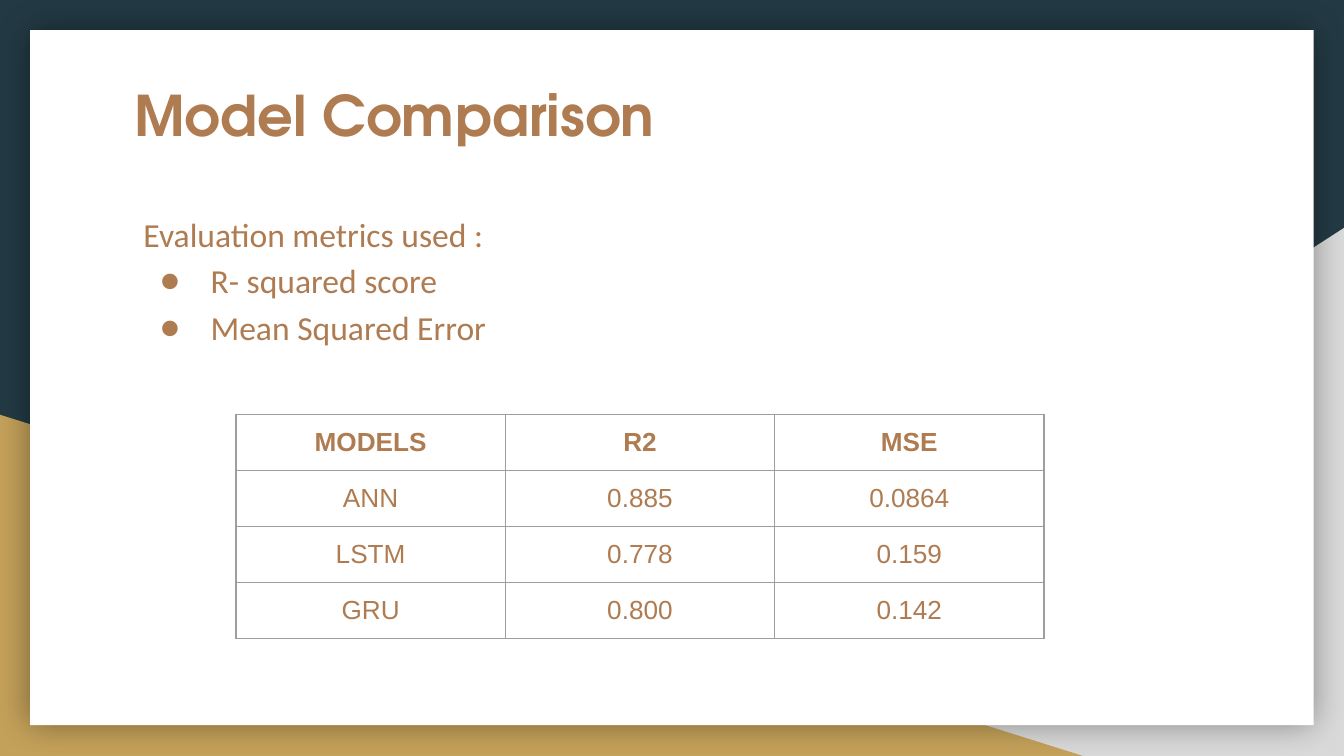
from lxml.etree import SubElement
from pptx import Presentation
from pptx.dml.color import RGBColor
from pptx.enum.shapes import MSO_SHAPE
from pptx.enum.text import MSO_ANCHOR, MSO_AUTO_SIZE, PP_ALIGN
from pptx.oxml import parse_xml
from pptx.oxml.ns import nsdecls, qn
from pptx.util import Cm, Pt

BROWN = "AF7B51"
METRICS = ["Evaluation metrics used :", "R- squared score", "Mean Squared Error"]
SCORES = [
    ("MODELS", "R2", "MSE"),
    ("ANN", "0.885", "0.0864"),
    ("LSTM", "0.778", "0.159"),
    ("GRU", "0.800", "0.142"),
]


def paint(target, color):
    """Give a fill or a font a solid colour from a hex string."""
    if hasattr(target, "solid"):
        target.solid()
        target.fore_color.rgb = RGBColor.from_string(color)
    else:
        target.color.rgb = RGBColor.from_string(color)


def style_runs(paragraph, font_name, size, bold=False):
    """Format every run of a paragraph in the slide's text colour."""
    for run in paragraph.runs:
        run.font.name = font_name
        run.font.size = Pt(size)
        run.font.bold = bold
        paint(run.font, BROWN)


def add_backdrop(slide, preset, left, top, width, height, color):
    """Add a plain filled shape and return it."""
    backdrop = slide.shapes.add_shape(preset, Cm(left), Cm(top), Cm(width), Cm(height))
    backdrop.shadow.inherit = False
    paint(backdrop.fill, color)
    backdrop.line.fill.background()
    return backdrop


def add_glow_shadow(card):
    """Put a soft black shadow evenly around the card."""
    effects = card.element.spPr.find(qn("a:effectLst"))
    effects.append(parse_xml(
        f'<a:outerShdw {nsdecls("a")} blurRad="{Pt(18)}" dist="0" dir="0" algn="ctr" '
        'rotWithShape="0"><a:srgbClr val="000000"><a:alpha val="40000"/></a:srgbClr></a:outerShdw>'
    ))


def place_placeholder(placeholder, left, top, width, height):
    """Move a placeholder to the front and set up its text frame."""
    placeholder.left, placeholder.top = Cm(left), Cm(top)
    placeholder.width, placeholder.height = Cm(width), Cm(height)
    frame = placeholder.text_frame
    frame.word_wrap = True
    frame.auto_size = MSO_AUTO_SIZE.NONE
    frame.vertical_anchor = MSO_ANCHOR.TOP
    frame.margin_left = frame.margin_right = Cm(0.25)
    frame.margin_top = frame.margin_bottom = Cm(0.25)
    tree = placeholder.element.getparent()
    tree.append(placeholder.element)
    return frame


def set_bullet(paragraph, bulleted):
    """Indent a paragraph with a round bullet, or clear its bullet."""
    properties = paragraph._p.get_or_add_pPr()
    properties.set("marL", str(Cm(1.27) if bulleted else 0))
    properties.set("indent", str(Cm(-0.96) if bulleted else 0))
    if bulleted:
        bullet_color = SubElement(properties, qn("a:buClr"))
        SubElement(bullet_color, qn("a:srgbClr"), val=BROWN)
        SubElement(properties, qn("a:buFont"), typeface="Calibri")
        SubElement(properties, qn("a:buChar"), char="●")
    else:
        SubElement(properties, qn("a:buNone"))


def fill_title(title):
    """Write the slide title."""
    frame = place_placeholder(title, 2.29, 1.27, 20.85, 2.08)
    frame.text = "Model Comparison"
    heading = frame.paragraphs[0]
    heading.alignment = PP_ALIGN.LEFT
    style_runs(heading, "TeX Gyre Adventor", 30, bold=True)


def fill_metrics(body):
    """Write the lead line and the bulleted metrics."""
    frame = place_placeholder(body, 2.46, 3.68, 20.47, 3.45)
    frame.text = "\n".join(METRICS)
    for index, metric in enumerate(frame.paragraphs):
        metric.line_spacing = 1.15
        metric.space_before = metric.space_after = Pt(0)
        set_bullet(metric, bulleted=index > 0)
        style_runs(metric, "Calibri", 18)


def set_borders(cell):
    """Draw thin grey lines on all four sides of a cell."""
    properties = cell._tc.get_or_add_tcPr()
    for position, side in enumerate(("lnL", "lnR", "lnT", "lnB")):
        properties.insert(position, parse_xml(
            f'<a:{side} {nsdecls("a")} w="{Pt(0.75)}"><a:solidFill>'
            f'<a:srgbClr val="9E9E9E"/></a:solidFill></a:{side}>'
        ))


def add_score_table(slide):
    """Add the table of model scores."""
    row_height, column_width = Cm(1.06), Cm(5.09)
    rows, columns = len(SCORES), len(SCORES[0])
    scores = slide.shapes.add_table(
        rows, columns, Cm(4.46), Cm(7.83), column_width * columns, row_height * rows
    ).table
    scores.first_row = scores.horz_banding = False
    for row_index, values in enumerate(SCORES):
        for column_index, value in enumerate(values):
            cell = scores.cell(row_index, column_index)
            cell.text = value
            cell.margin_left = cell.margin_right = Cm(0.25)
            cell.margin_top = cell.margin_bottom = Cm(0.25)
            cell.fill.background()
            set_borders(cell)
            entry = cell.text_frame.paragraphs[0]
            entry.alignment = PP_ALIGN.CENTER
            style_runs(entry, "Arial", 14, bold=row_index == 0)


def main():
    """Build the model comparison slide."""
    deck = Presentation()
    deck.slide_width, deck.slide_height = Cm(25.4), Cm(14.29)
    slide = deck.slides.add_slide(deck.slide_layouts[1])
    paint(slide.background.fill, "233A44")

    grey_corner = add_backdrop(slide, MSO_SHAPE.RIGHT_TRIANGLE, 9.96, 4.31, 15.44, 9.98, "D9D9D9")
    grey_corner.element.spPr.xfrm.set("flipH", "1")
    add_backdrop(slide, MSO_SHAPE.RIGHT_TRIANGLE, 0, 7.84, 20.47, 6.45, "C4A15A")
    card = add_backdrop(slide, MSO_SHAPE.RECTANGLE, 0.57, 0.57, 24.26, 13.14, "FFFFFF")
    add_glow_shadow(card)

    fill_title(slide.shapes.title)
    fill_metrics(slide.placeholders[1])
    add_score_table(slide)
    deck.save("out.pptx")


if __name__ == "__main__":
    main()
